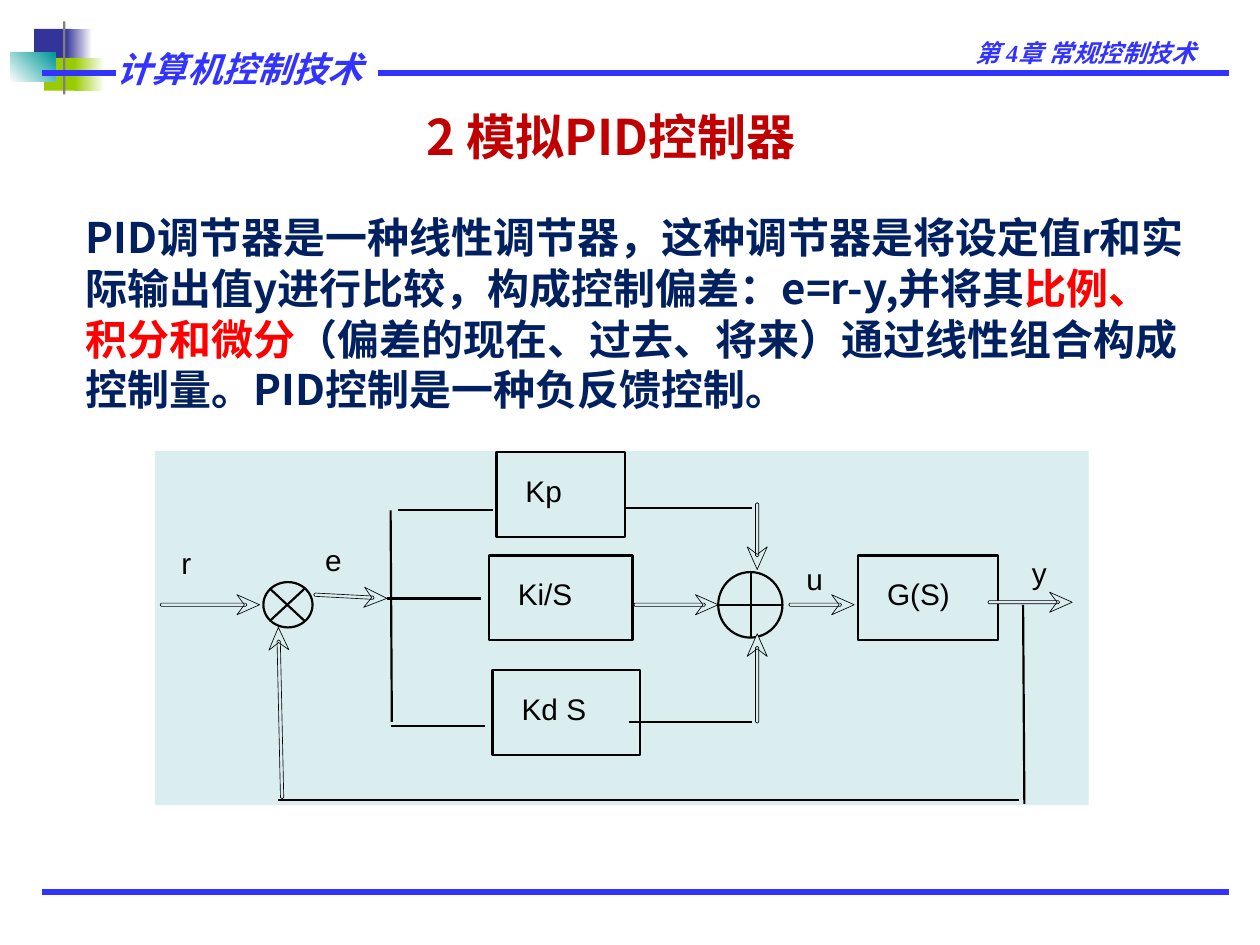
from math import hypot

from lxml.etree import SubElement
from pptx import Presentation
from pptx.dml.color import RGBColor
from pptx.enum.shapes import MSO_CONNECTOR, MSO_SHAPE
from pptx.enum.text import PP_ALIGN
from pptx.oxml.ns import qn
from pptx.util import Inches, Pt

BLUE, RED, NAVY, BLACK, PANEL = "3333FF", "C00000", "002060", "000000", "DAEDEF"
CJK = "Noto Sans CJK SC"


def color(value):
    return RGBColor.from_string(value)


class Board:
    """Draws the elements of the current slide in one shared style."""

    def __init__(self, slide):
        self.shapes = slide.shapes

    def block(self, x, y, w, h, fill, line=None, kind=MSO_SHAPE.RECTANGLE):
        shape = self.shapes.add_shape(kind, Inches(x), Inches(y), Inches(w), Inches(h))
        self.paint(shape, fill, line, 1.25)
        return shape

    def paint(self, shape, fill, line, width):
        shape.shadow.inherit = False
        shape.fill.solid()
        shape.fill.fore_color.rgb = color(fill)
        if line:
            shape.line.color.rgb = color(line)
            shape.line.width = Pt(width)
        else:
            shape.line.fill.background()

    def fade(self, x, y, w, h, start, end, angle=0):
        fill = self.block(x, y, w, h, start).fill
        fill.gradient()
        fill.gradient_angle = angle
        for stop, tone, position in zip(fill.gradient_stops, (start, end), (0, 1)):
            stop.color.rgb = color(tone)
            stop.position = position

    def line(self, x1, y1, x2, y2, tone=BLACK, width=1.25):
        line = self.shapes.add_connector(
            MSO_CONNECTOR.STRAIGHT, Inches(x1), Inches(y1), Inches(x2), Inches(y2))
        line.line.color.rgb = color(tone)
        line.line.width = Pt(width)
        SubElement(line._element.spPr, qn("a:effectLst"))

    def arrow(self, x1, y1, x2, y2):
        length = hypot(x2 - x1, y2 - y1)
        ux, uy = (x2 - x1) / length, (y2 - y1) / length

        def points(pairs):
            return [(Inches(x2 - back * ux - side * uy), Inches(y2 - back * uy + side * ux))
                    for back, side in pairs]

        shaft = points([(length - 0.01, -0.013), (0.11, -0.013), (0.1, 0),
                        (0.11, 0.013), (length - 0.01, 0.013), (length, 0)])
        head = points([(0.12, 0), (0.18, -0.08), (0, 0), (0.18, 0.08)])
        builder = self.shapes.build_freeform(*shaft[0], scale=1.0)
        builder.add_line_segments(shaft[1:], close=True)
        builder.move_to(*head[0])
        builder.add_line_segments(head[1:], close=True)
        self.paint(builder.convert_to_shape(), PANEL, BLACK, 0.37)

    def text(self, x, y, w, h, runs, size, font=CJK, align=PP_ALIGN.LEFT,
             bold=True, italic=False, wrap=True):
        box = self.shapes.add_textbox(Inches(x), Inches(y), Inches(w), Inches(h))
        frame = box.text_frame
        frame.word_wrap = wrap
        paragraph = frame.paragraphs[0]
        paragraph.alignment = align
        for words, tone in runs:
            run = paragraph.add_run()
            run.text = words
            run.font.size = Pt(size)
            run.font.name = font
            run.font.bold = bold
            run.font.italic = italic
            run.font.color.rgb = color(tone)
            SubElement(run._r.get_or_add_rPr(), qn("a:ea")).set("typeface", CJK)
        return frame

    def label(self, x, y, w, words):
        frame = self.text(x, y, w, 0.3, [(words, BLACK)], 17, "Arial", bold=False, wrap=False)
        frame.margin_left = frame.margin_right = frame.margin_top = frame.margin_bottom = 0

    def stage(self, x, y, w, words, label_width):
        self.block(x, y, w, 0.67, PANEL, BLACK)
        self.label(x + 0.23, y + 0.16, label_width, words)


def draw_header(board):
    board.block(0.27, 0.23, 0.29, 0.26, "333399")
    board.fade(0.52, 0.23, 0.21, 0.26, "333399", "FFFFFF")
    board.block(0.35, 0.46, 0.28, 0.26, "99CC00")
    board.fade(0.59, 0.46, 0.24, 0.26, "99CC00", "FFFFFF")
    board.fade(0.08, 0.42, 0.36, 0.23, "FFFFFF", "009999", 45)
    board.block(0.5, 0.17, 0.02, 0.58, "808080")
    for x1, x2, y in [(3, 9.75, 0.58), (0.33, 9.75, 7.08), (0.33, 0.92, 0.58)]:
        board.line(x1, y, x2, y, BLUE, 3)
    board.text(5.42, 0.25, 4.17, 0.34, [("第 4章 常规控制技术", BLUE)], 14,
               "Times New Roman", PP_ALIGN.RIGHT, italic=True)
    board.text(0.83, 0.33, 2.42, 0.43, [("计算机控制技术", BLUE)], 20,
               "Times New Roman", italic=True)


def draw_explanation(board):
    board.text(0.6, 0.8, 8.5, 0.73, [("2 模拟PID控制器", RED)], 28, align=PP_ALIGN.CENTER)
    body = board.text(0.2, 1.55, 9.33, 2.05, [
        ("PID调节器是一种线性调节器，这种调节器是将设定值r和实际输出值y进行比较，"
         "构成控制偏差：e=r-y,并将其", NAVY),
        ("比例、积分和微分", "FF0000"),
        ("（偏差的现在、过去、将来）通过线性组合构成控制量。PID控制是一种负反馈控制。", NAVY),
    ], 24)
    body.margin_left = Inches(0.48)
    body.margin_top = Inches(0.13)
    body.paragraphs[0].line_spacing = Pt(28.9)


def draw_loop(board):
    board.block(1.23, 3.58, 7.41, 2.81, PANEL)
    for x, y, w, words in [(6.4, 4.45, 0.2, "u"), (1.44, 4.32, 0.14, "r"),
                           (2.58, 4.3, 0.19, "e"), (8.19, 4.4, 0.18, "y")]:
        board.label(x, y, w, words)
    for stage in [(3.94, 3.59, 1.02, "Kp", 0.35), (3.88, 4.41, 1.14, "Ki/S", 0.5),
                  (3.91, 5.32, 1.17, "Kd S", 0.58), (6.81, 4.41, 1.11, "G(S)", 0.56)]:
        board.stage(*stage)
    board.block(5.7, 4.54, 0.51, 0.52, PANEL, BLACK, MSO_SHAPE.OVAL)
    board.block(2.09, 4.62, 0.39, 0.36, PANEL, BLACK, MSO_SHAPE.OVAL)
    for wire in [(5.7, 4.8, 6.21, 4.8), (5.96, 4.54, 5.96, 5.06),
                 (2.14, 4.67, 2.42, 4.93), (2.14, 4.93, 2.42, 4.67),
                 (3.16, 4.05, 3.91, 4.05), (3.1, 4.05, 3.11, 5.73),
                 (3.07, 4.75, 3.82, 4.75), (3.1, 5.76, 3.85, 5.76),
                 (4.96, 4.03, 5.97, 4.03), (4.99, 5.73, 5.97, 5.73),
                 (8.12, 4.8, 8.13, 6.38), (8.09, 6.35, 2.21, 6.35)]:
        board.line(*wire)
    for signal in [(1.27, 4.8, 2.06, 4.8), (2.49, 4.72, 3.07, 4.75),
                   (5.03, 4.8, 5.7, 4.8), (6.26, 4.8, 6.78, 4.8),
                   (7.84, 4.78, 8.51, 4.78), (6.01, 3.99, 6.01, 4.52),
                   (6.01, 5.74, 6.01, 5.03), (2.24, 6.34, 2.21, 4.98)]:
        board.arrow(*signal)


def main():
    deck = Presentation()
    deck.slide_width, deck.slide_height = Inches(10), Inches(7.5)
    board = Board(deck.slides.add_slide(deck.slide_layouts[6]))
    draw_header(board)
    draw_explanation(board)
    draw_loop(board)
    deck.save("out.pptx")


if __name__ == "__main__":
    main()
